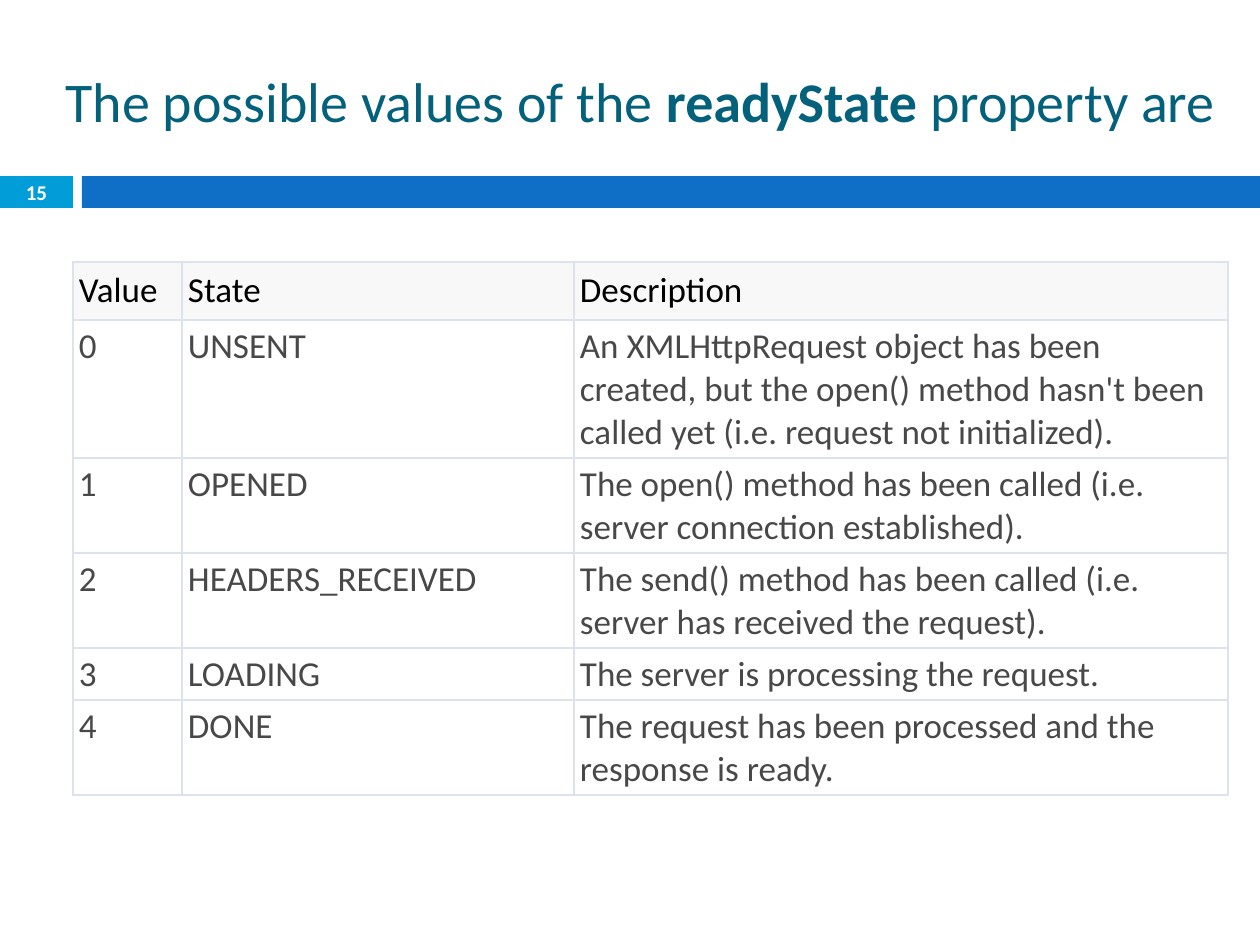
from dataclasses import dataclass

from lxml import etree
from pptx import Presentation
from pptx.dml.color import RGBColor
from pptx.enum.shapes import MSO_SHAPE
from pptx.enum.text import MSO_ANCHOR, PP_ALIGN
from pptx.oxml.ns import qn
from pptx.util import Emu, Pt

RECTANGLE = MSO_SHAPE.RECTANGLE
MIDDLE = MSO_ANCHOR.MIDDLE
LEFT, CENTER = PP_ALIGN.LEFT, PP_ALIGN.CENTER

FONT = "Calibri"
WHITE = RGBColor(0xFF, 0xFF, 0xFF)
BLACK = RGBColor(0x00, 0x00, 0x00)
GRAY = RGBColor(0x48, 0x48, 0x48)
TEAL = RGBColor(0x04, 0x61, 0x7B)
CYAN = RGBColor(0x00, 0x9D, 0xD9)
BLUE = RGBColor(0x0F, 0x6F, 0xC6)
HEADER_GRAY = RGBColor(0xF8, 0xF8, 0xF8)
BORDER = RGBColor(0xDC, 0xE3, 0xEB)

EMU_PER_PX = 914400 / 126


@dataclass(frozen=True)
class Box:
    left: int
    top: int
    width: int
    height: int

    def emu(self) -> list[Emu]:
        return [px(n) for n in (self.left, self.top, self.width, self.height)]


@dataclass(frozen=True)
class Band:
    box: Box
    color: RGBColor


@dataclass(frozen=True)
class StateRow:
    value: str
    state: str
    description: str
    height: int


@dataclass(frozen=True)
class RowStyle:
    fill: RGBColor
    color: RGBColor
    padding: int


BANDS = [
    Band(Box(0, 176, 73, 32), CYAN),
    Band(Box(82, 176, 1178, 32), BLUE),
]
TITLE_BOX = Box(53, 32, 1187, 136)
NUMBER_BOX = Box(0, 175, 73, 34)
TITLE_RUNS = [
    ("The possible values of the ", False),
    ("readyState", True),
    (" property are", False),
]
COLUMN_WIDTHS = [109, 392, 654]
STATES = [
    StateRow("Value", "State", "Description", 58),
    StateRow("0", "UNSENT", "An XMLHttpRequest object has been created, but the open() method "
             "hasn't been called yet (i.e. request not initialized).", 138),
    StateRow("1", "OPENED", "The open() method has been called (i.e. server connection "
             "established).", 95),
    StateRow("2", "HEADERS_RECEIVED", "The send() method has been called (i.e. server has "
             "received the request).", 95),
    StateRow("3", "LOADING", "The server is processing the request.", 52),
    StateRow("4", "DONE", "The request has been processed and the response is ready.", 95),
]
HEADER_STYLE = RowStyle(HEADER_GRAY, BLACK, 7)
BODY_STYLE = RowStyle(WHITE, GRAY, 5)


def px(length: int) -> Emu:
    return Emu(round(length * EMU_PER_PX))


def apply(target, values: dict) -> None:
    for attribute, value in values.items():
        setattr(target, attribute, value)


def add_run(paragraph, text: str, size: int, color: RGBColor, bold: bool = False) -> None:
    run = paragraph.add_run()
    run.text = text
    apply(run.font, {"name": FONT, "size": Pt(size), "bold": bold})
    run.font.color.rgb = color


def add_band(slide, band: Band) -> None:
    bar = slide.shapes.add_shape(RECTANGLE, *band.box.emu())
    bar.shadow.inherit = False
    bar.fill.solid()
    bar.fill.fore_color.rgb = band.color
    bar.line.fill.background()


def add_title(slide) -> None:
    title = slide.shapes.title
    apply(title, dict(zip(("left", "top", "width", "height"), TITLE_BOX.emu())))
    apply(title.text_frame, {"word_wrap": True, "vertical_anchor": MIDDLE})
    heading = title.text_frame.paragraphs[0]
    heading.alignment = LEFT
    for text, bold in TITLE_RUNS:
        add_run(heading, text, 32, TEAL, bold)


def add_slide_number(slide, number: str) -> None:
    frame = slide.shapes.add_textbox(*NUMBER_BOX.emu()).text_frame
    apply(frame, {"word_wrap": True, "vertical_anchor": MIDDLE, "margin_left": 0,
                  "margin_right": 0, "margin_top": 0, "margin_bottom": 0})
    frame.paragraphs[0].alignment = CENTER
    add_run(frame.paragraphs[0], number, 12, WHITE, True)


def add_borders(cell) -> None:
    properties = cell._tc.get_or_add_tcPr()
    for side in ("a:lnL", "a:lnR", "a:lnT", "a:lnB"):
        line = etree.SubElement(properties, qn(side), w=str(Pt(0.75)))
        fill = etree.SubElement(line, qn("a:solidFill"))
        etree.SubElement(fill, qn("a:srgbClr"), val=str(BORDER))


def fill_cell(cell, text: str, style: RowStyle) -> None:
    add_borders(cell)
    cell.fill.solid()
    cell.fill.fore_color.rgb = style.fill
    apply(cell, {"margin_left": px(6), "margin_right": px(6),
                 "margin_top": px(style.padding), "margin_bottom": px(style.padding)})
    add_run(cell.text_frame.paragraphs[0], text, 20, style.color)


def add_state_table(slide) -> None:
    box = Box(73, 262, sum(COLUMN_WIDTHS), sum(row.height for row in STATES))
    table = slide.shapes.add_table(len(STATES), len(COLUMN_WIDTHS), *box.emu()).table
    apply(table, {"first_row": False, "horz_banding": False})
    for column, width in zip(table.columns, COLUMN_WIDTHS):
        column.width = px(width)
    for index, (row, entry) in enumerate(zip(table.rows, STATES)):
        row.height = px(entry.height)
        style = BODY_STYLE if index else HEADER_STYLE
        for cell, text in zip(row.cells, (entry.value, entry.state, entry.description)):
            fill_cell(cell, text, style)


def main() -> None:
    deck = Presentation()
    apply(deck, {"slide_width": px(1260), "slide_height": px(945)})
    slide = deck.slides.add_slide(deck.slide_layouts[5])

    # Bands below the title, with the slide number on the left one
    for band in BANDS:
        add_band(slide, band)
    add_title(slide)
    add_slide_number(slide, "15")

    # readyState values
    add_state_table(slide)

    deck.save("out.pptx")


if __name__ == "__main__":
    main()
